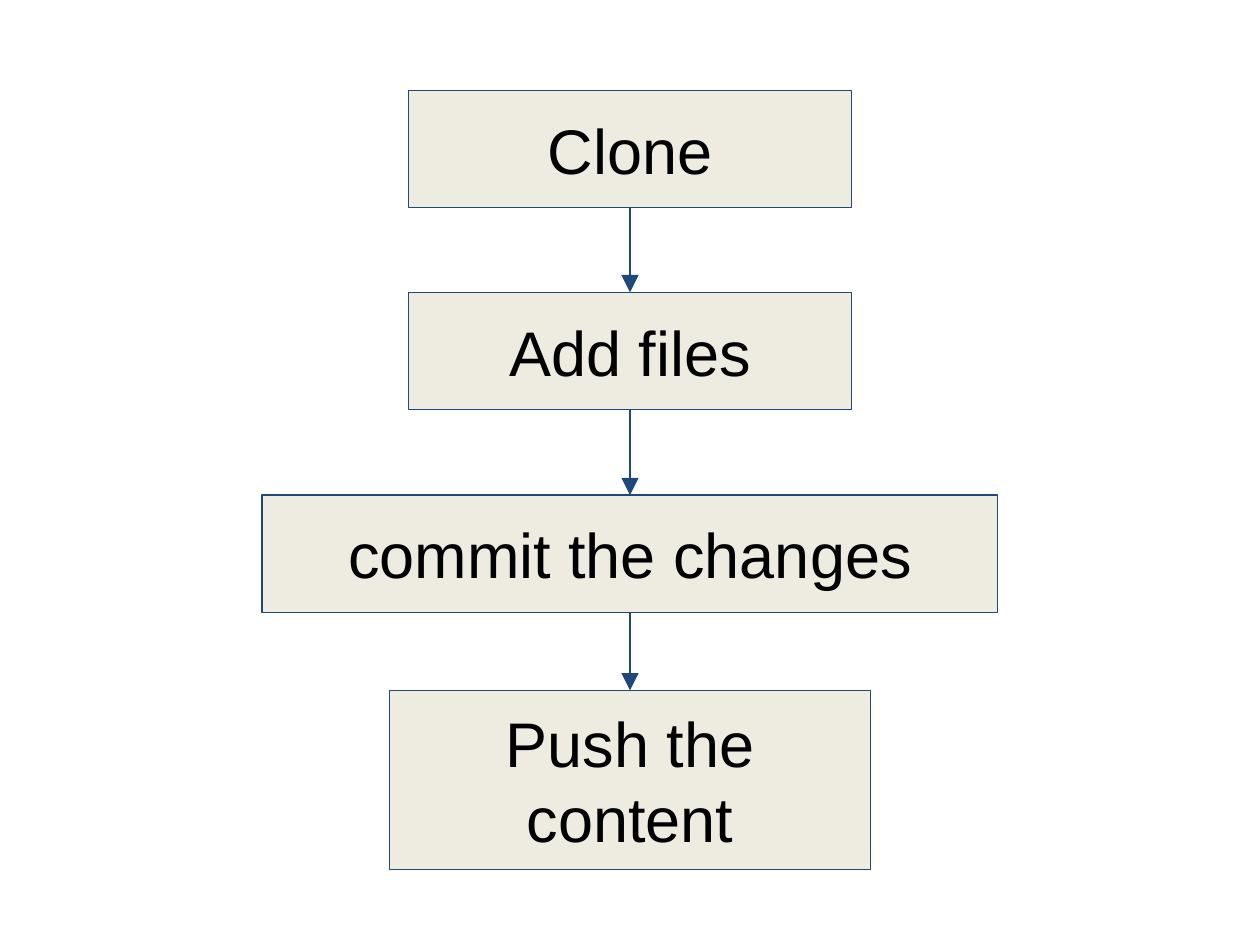
from lxml.etree import SubElement
from pptx import Presentation
from pptx.dml.color import RGBColor
from pptx.enum.shapes import MSO_CONNECTOR as Connector, MSO_SHAPE as Shape
from pptx.enum.text import MSO_ANCHOR as Anchor, PP_ALIGN as Align
from pptx.oxml.ns import qn
from pptx.util import Inches, Pt

CREAM = RGBColor(0xEE, 0xEC, 0xE1)
NAVY = RGBColor(0x1F, 0x49, 0x7D)
BLACK = RGBColor(0, 0, 0)

CENTER = 5
MARGIN = Inches(0.1)
FRAME_FORMAT = {
    "word_wrap": True,
    "vertical_anchor": Anchor.MIDDLE,
    "margin_left": MARGIN,
    "margin_right": MARGIN,
    "margin_top": MARGIN,
    "margin_bottom": MARGIN,
}
FONT_FORMAT = {"name": "Arial", "size": Pt(36)}

# Step text, top, width, height
STEPS = [
    ("Clone", 0.72, 3.52, 0.93),
    ("Add files", 2.32, 3.52, 0.93),
    ("commit the changes", 3.93, 5.84, 0.93),
    ("Push the content", 5.48, 3.82, 1.42),
]

deck = Presentation()
deck.slide_width, deck.slide_height = Inches(10), Inches(7.5)
page = deck.slides.add_slide(deck.slide_layouts[6])

# Step boxes, centred on the page
boxes = []
for text, top, width, height in STEPS:
    box = page.shapes.add_shape(
        Shape.RECTANGLE, Inches(CENTER - width / 2), Inches(top), Inches(width), Inches(height)
    )
    box.shadow.inherit = False
    box.fill.solid()
    box.fill.fore_color.rgb = CREAM
    box.line.color.rgb = NAVY
    box.line.width = Pt(0.75)
    for name, value in FRAME_FORMAT.items():
        setattr(box.text_frame, name, value)
    para = box.text_frame.paragraphs[0]
    para.alignment = Align.CENTER
    span = para.add_run()
    span.text = text
    for name, value in FONT_FORMAT.items():
        setattr(span.font, name, value)
    span.font.color.rgb = BLACK
    boxes.append(box)

# Arrows from each step to the next
for upper, lower in zip(boxes, boxes[1:]):
    arrow = page.shapes.add_connector(Connector.STRAIGHT, 0, 0, 0, 0)
    arrow.begin_connect(upper, 2)
    arrow.end_connect(lower, 0)
    arrow.line.color.rgb = NAVY
    arrow.line.width = Pt(0.75)
    SubElement(arrow.line._get_or_add_ln(), qn("a:tailEnd"), type="triangle", w="lg", len="lg")
    SubElement(arrow._element.spPr, qn("a:effectLst"))

deck.save("out.pptx")
